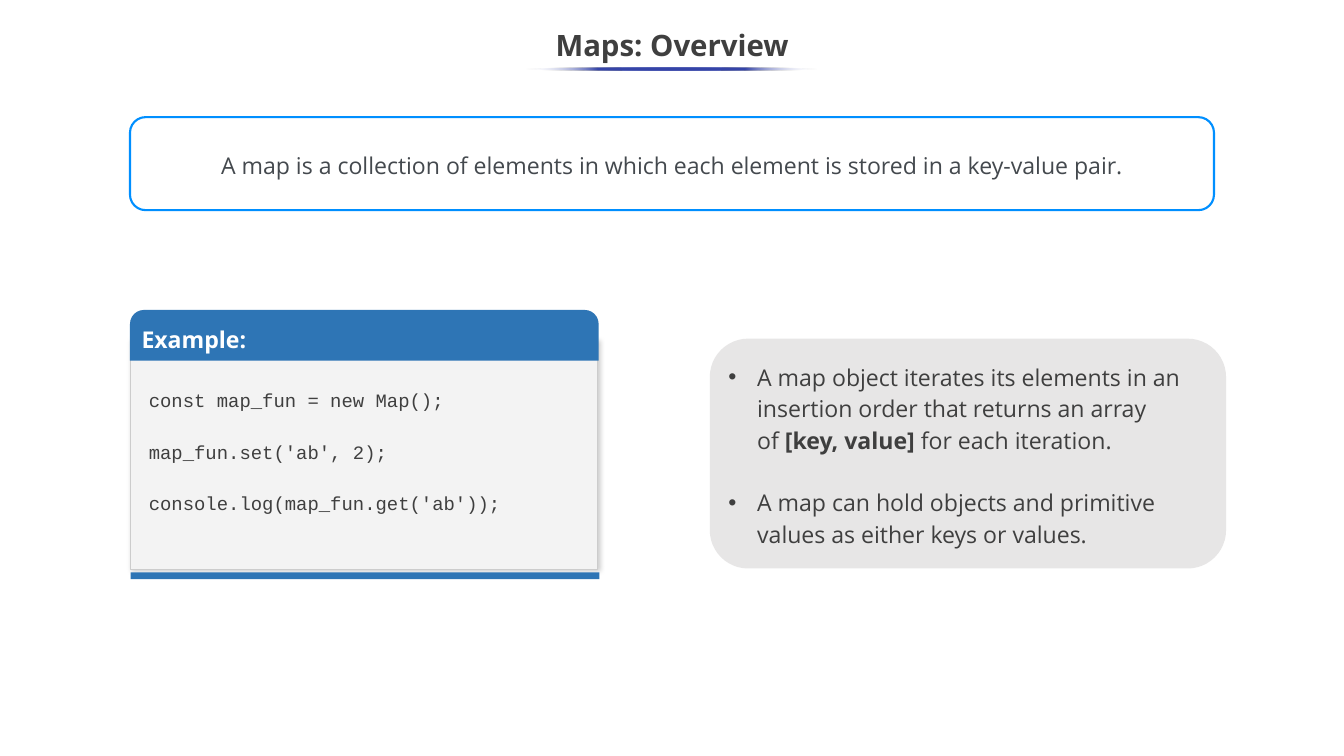
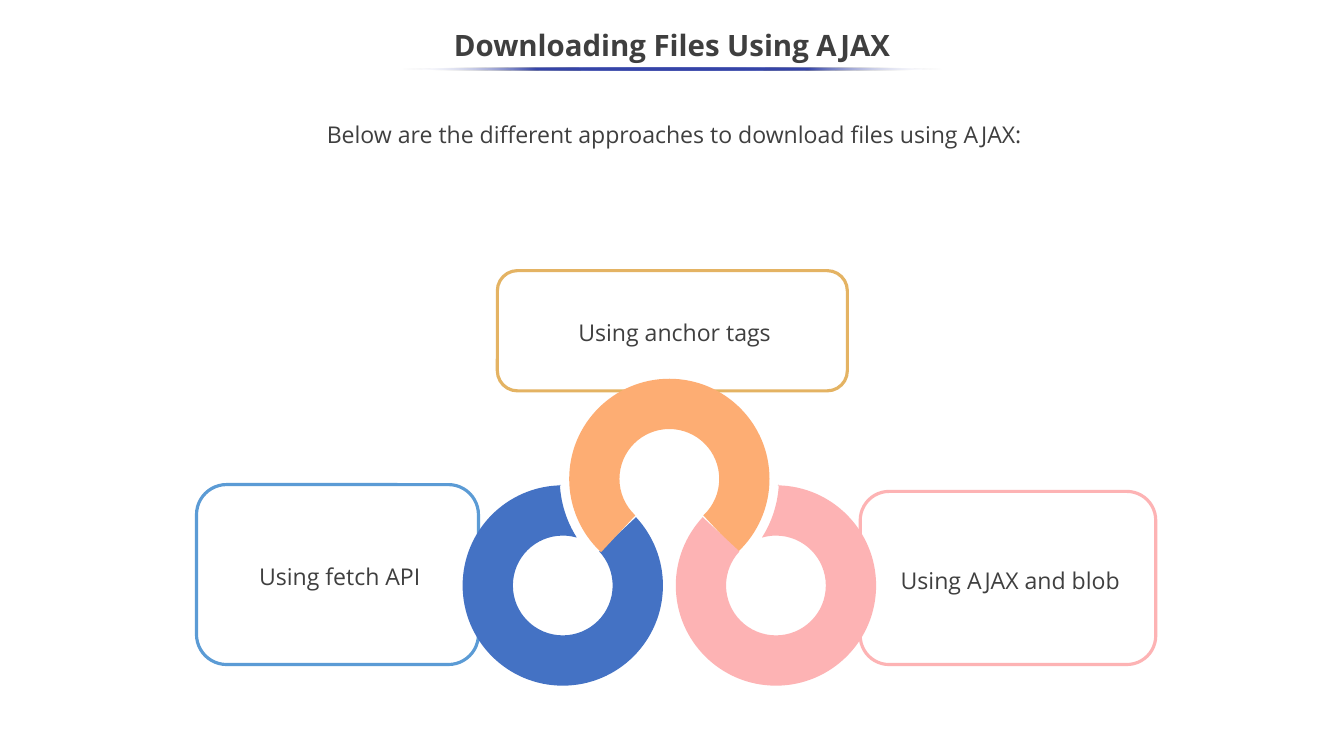
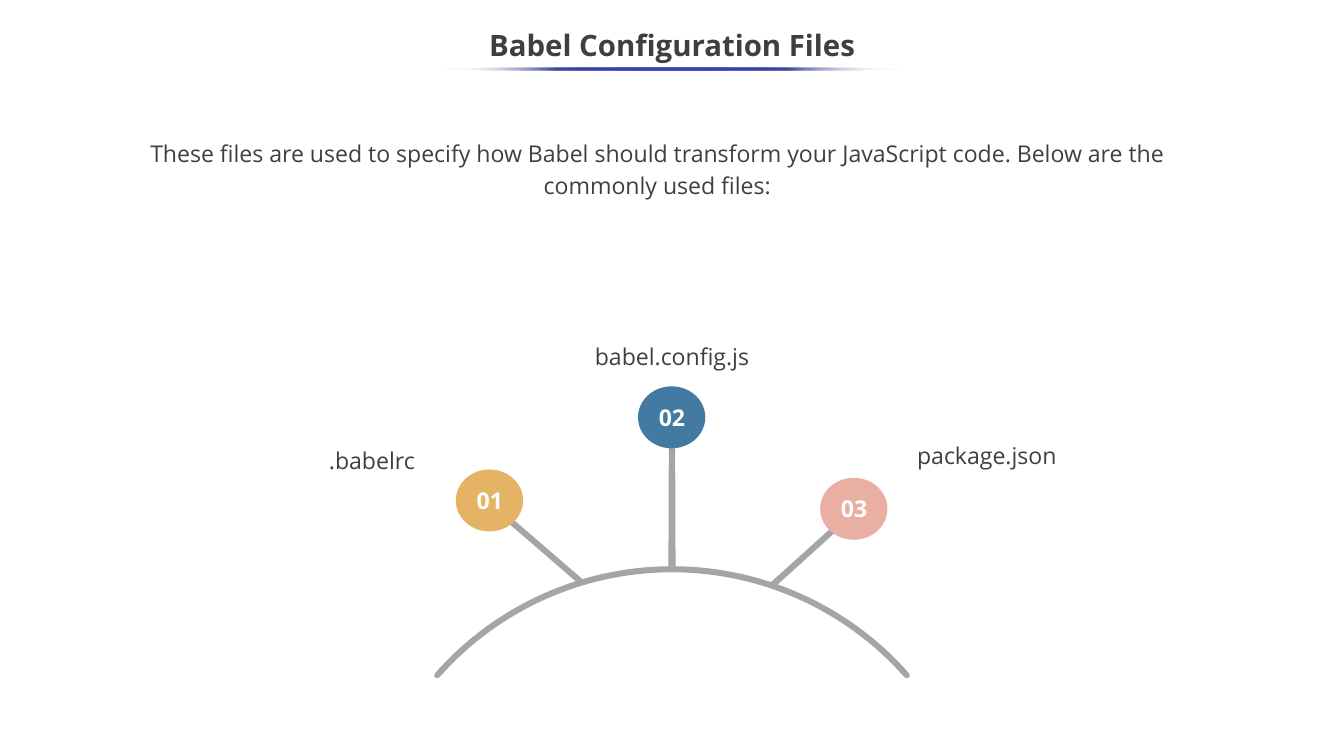
from math import cos, hypot, radians, sin, tan

from lxml import etree
from pptx import Presentation
from pptx.dml.color import RGBColor
from pptx.enum.shapes import MSO_SHAPE
from pptx.enum.text import MSO_ANCHOR, PP_ALIGN
from pptx.oxml import parse_xml
from pptx.oxml.ns import qn
from pptx.util import Pt

PX = 9144  # 100 px to the inch
WIDE, HIGH = 1778, 1000
MID = WIDE // 2

RECT, ROUND = MSO_SHAPE.RECTANGLE, MSO_SHAPE.ROUNDED_RECTANGLE
TAB, OVAL = MSO_SHAPE.ROUND_2_SAME_RECTANGLE, MSO_SHAPE.OVAL
LEFT, CENTER = PP_ALIGN.LEFT, PP_ALIGN.CENTER
TOP, MIDDLE = MSO_ANCHOR.TOP, MSO_ANCHOR.MIDDLE

HUE = {
    "ink": "3F3F3F", "slate": "44494E", "white": "FFFFFF", "rule": "3645A9",
    "frame": "008FFF", "head": "2E75B5", "code": "F3F3F3", "edge": "CCCCCC",
    "note": "E7E6E6", "sky": "5B9BD5", "gold": "E4B363", "pink": "FDB3B4",
    "blue": "4472C4", "peach": "FDAD73", "gray": "A5A5A5", "steel": "427AA1",
    "rose": "E9AFA3",
}
SANS, MONO = "Open Sans", "Courier New"
HARD = chr(160)  # space that does not break
NS = 'xmlns:a="http://schemas.openxmlformats.org/drawingml/2006/main"'


def rgb(name):
    return RGBColor.from_string(HUE[name])


def paint(item, fill=None, line=None, weight=1):
    item.shadow.inherit = False
    if fill:
        item.fill.solid()
        item.fill.fore_color.rgb = rgb(fill)
    else:
        item.fill.background()
    if line:
        item.line.color.rgb = rgb(line)
        item.line.width = Pt(weight)
    else:
        item.line.fill.background()
    return item


def shape(slide, kind, box, adjust=(), **look):
    item = slide.shapes.add_shape(kind, *[v * PX for v in box])
    for i, value in enumerate(adjust):
        item.adjustments[i] = value
    return paint(item, **look)


def polar(hub, radius, angle):
    """Point on a circle; degrees run clockwise from the right."""
    turn = radians(angle)
    return hub[0] + radius * cos(turn), hub[1] + radius * sin(turn)


def arc(hub, radius, start, end):
    """Nodes of an arc: its first point, then one curve for each quadrant."""
    low, high = sorted((start, end))
    cuts = [a for a in range(-720, 721, 90) if low < a < high]
    stops = [low, *cuts, high]
    if start > end:
        stops.reverse()
    nodes = [[polar(hub, radius, start)]]
    for a, b in zip(stops, stops[1:]):
        pull = 4 / 3 * tan(radians(b - a) / 4) * radius
        p, q = polar(hub, radius, a), polar(hub, radius, b)
        nodes.append([polar(p, pull, a + 90), polar(q, pull, b - 90), q])
    return nodes


def outline(slide, nodes, fill):
    """Draw a closed shape; a node is [point] or [handle, handle, point]."""
    first, *rest = [(x * PX, y * PX) for x, y in [n[-1] for n in nodes]]
    pen = slide.shapes.build_freeform(*first)
    pen.add_line_segments(rest, close=True)
    item = paint(pen.convert_to_shape(), fill)
    steps = list(item._element.iter(qn("a:lnTo")))
    for step, node in zip(steps, nodes[1:]):
        if len(node) == 3:
            step.tag = qn("a:cubicBezTo")
            for i, (x, y) in enumerate(node[:2]):
                spot = etree.Element(qn("a:pt"), x=str(round(x * PX - item.left)),
                                     y=str(round(y * PX - item.top)))
                step.insert(i, spot)
    return item


def write(item, paras, size=22, color="ink", font=SANS, bold=False, align=CENTER,
          anchor=MIDDLE, spacing=1.14, gap=0, indent=0, bullet=None, pad=5):
    """Fill a shape; a paragraph is a string or a list of (words, bold) runs."""
    frame = item.text_frame
    frame.word_wrap = True
    frame.vertical_anchor = anchor
    frame.margin_left = frame.margin_right = 10 * PX
    frame.margin_top = frame.margin_bottom = pad * PX
    for i, runs in enumerate(paras):
        para = frame.add_paragraph() if i else frame.paragraphs[0]
        props = para._p.get_or_add_pPr()
        props.set("marL", str(indent * PX))
        props.set("indent", str(-indent * PX if bullet else 0))
        if bullet:
            hue = etree.SubElement(props, qn("a:buClr"))
            etree.SubElement(hue, qn("a:srgbClr"), val=HUE[color])
            etree.SubElement(props, qn("a:buFont"), typeface="Arial")
            etree.SubElement(props, qn("a:buChar"), char=bullet)
        para.alignment = align
        para.line_spacing = spacing
        if i and gap:
            para.space_before = Pt(gap)
        for words, strong in [(runs, bold)] if isinstance(runs, str) else runs:
            run = para.add_run()
            run.text = words
            run.font.name, run.font.size, run.font.bold = font, Pt(size), strong
            run.font.color.rgb = rgb(color)
    return item


def label(slide, box, words, **style):
    paras = [words] if isinstance(words, str) else words
    return write(slide.shapes.add_textbox(*[v * PX for v in box]), paras, **style)


def heading(deck, words, width):
    """Add a slide with its title and the fading rule below it."""
    slide = deck.slides.add_slide(deck.slide_layouts[6])
    label(slide, (0, 25, WIDE, 75), words, size=28, bold=True, spacing=0.9)
    rule = shape(slide, OVAL, (MID - width // 2, 89, width, 4), fill="rule")
    stops = "".join(
        f'<a:gs pos="{pos}000"><a:srgbClr val="{HUE[name]}">'
        f'<a:alpha val="{alpha}000"/></a:srgbClr></a:gs>'
        for pos, name, alpha in [(0, "white", 0), (25, "rule", 100),
                                 (75, "rule", 100), (100, "white", 0)])
    solid = rule._element.spPr.find(qn("a:solidFill"))
    solid.getparent().replace(solid, parse_xml(
        f'<a:gradFill {NS} rotWithShape="1"><a:gsLst>{stops}</a:gsLst>'
        '<a:lin ang="0" scaled="0"/></a:gradFill>'))
    return slide


def sample(slide, box, title, lines):
    """Code panel with a tab on top and a bar below."""
    x, y, w, h = box
    body = shape(slide, RECT, (x + 1, y + 39, w - 2, h - 52),
                 fill="code", line="edge", weight=0.75)
    body._element.spPr.find(qn("a:effectLst")).append(parse_xml(
        f'<a:outerShdw {NS} blurRad="57150" dist="19050" dir="2820000" '
        'algn="tl" rotWithShape="0"><a:srgbClr val="000000">'
        '<a:alpha val="20000"/></a:srgbClr></a:outerShdw>'))
    write(shape(slide, TAB, (x, y, w, 67), (0.275, 0), fill="head"), [title],
          color="white", bold=True, align=LEFT)
    shape(slide, RECT, (x + 1, y + h - 9, w, 9), fill="head")
    label(slide, (x + 15, y + 95, w - 28, h - 104), lines, size=18, font=MONO,
          align=LEFT, anchor=TOP, gap=24.5)


def rings(slide, box):
    """Three linked rings: two below, one above between them."""
    x, y, w, h = box
    big, small, cut, clear = 132.5, 66, 47, 145
    peak = (x + w / 2, y + big)
    low = (x + big, y + h - big)
    side = (arc(low, big, -91, -360 - 90 + cut)
            + arc(low, small, cut - 90, 286)
            + arc(peak, clear, 148, 177))
    outline(slide, side, "blue")
    outline(slide, arc(peak, big, cut, -180 - cut)
            + arc(peak, small, -180 - cut, cut), "peach")
    flip = [[(2 * peak[0] - px, py) for px, py in node] for node in side]
    outline(slide, flip, "pink")


def fan(slide, box, spokes):
    """Arched band with spokes; each spoke is (angle, tip relative to box)."""
    x, y, w, h = box
    outer, inner, half, slit = 418, 410, 4, 0.65
    start, end = 221.4, 318.6
    hub = (x + w / 2, y + 205 + outer)
    nodes, last = [], start
    for angle, (dx, dy) in spokes:
        foot = polar(hub, outer, angle)
        tip = (x + dx, y + dy)
        run, rise = tip[0] - foot[0], tip[1] - foot[1]
        size = hypot(run, rise)
        nx, ny = half * rise / size, -half * run / size
        nodes += arc(hub, outer, last, angle - slit)
        nodes += [[(tip[0] + nx, tip[1] + ny)], [(tip[0] - nx, tip[1] - ny)]]
        last = angle + slit
    nodes += arc(hub, outer, last, end)
    core = (outer + inner) / 2
    nodes += arc(polar(hub, core, end), half, end, end + 180)[1:]
    nodes += arc(hub, inner, end, start)[1:]
    nodes += arc(polar(hub, core, start), half, start + 180, start + 360)[1:]
    outline(slide, nodes, "gray")


def badge(slide, spot, number, fill):
    x, y = spot
    shape(slide, OVAL, (x, y, 89, 82), fill=fill)
    label(slide, (x + 17, y + 17, 56, 47), number, color="white", bold=True,
          spacing=1.0)


def maps(deck):
    slide = heading(deck, "Maps: Overview", 386)
    sample(slide, (172, 410, 620, 356), "Example:", [
        "const map_fun = new Map();",
        "map_fun.set('ab', 2);",
        "console.log(map_fun.get('ab'));",
    ])
    write(shape(slide, ROUND, (939, 448, 683, 304), (0.167,), fill="note"), [
        [(f"A{HARD}map{HARD}object iterates its elements in an insertion order "
          f"that returns an array of{HARD}", False),
         (f"[key, value]{HARD}", True), ("for each iteration.", False)],
        "A map can hold objects and primitive values as either keys or values.",
    ], align=LEFT, gap=29.5, indent=38, bullet="•")
    write(shape(slide, ROUND, (172, 155, 1434, 123), (0.167,), fill="white",
                line="frame", weight=2),
          ["A map is a collection of elements in which each element is stored "
           "in a key-value pair."], color="slate")


def ajax(deck):
    slide = heading(deck, "Downloading Files Using AJAX", 716)
    label(slide, (208, 163, 1362, 119),
          "Below are the different approaches to download files using AJAX:",
          anchor=TOP, spacing=0.9, indent=6, pad=0)
    for box, words, line in [
        ((260, 641, 373, 238), "Using fetch API", "sky"),
        ((658, 358, 463, 159), "Using anchor tags", "gold"),
        ((1138, 650, 391, 229), "Using AJAX and blob", "pink"),
    ]:
        card = shape(slide, ROUND, box, (0.167,), line=line, weight=3)
        write(card, [words], indent=6)
    rings(slide, (612, 501, 547, 406))


def babel(deck):
    slide = heading(deck, "Babel Configuration Files", 606)
    fan(slide, (574, 544, 630, 354),
        [(252.9, (78, 125)), (270, (315, 2)), (288.9, (564, 125))])
    for spot, number, fill, box, words in [
        ((603, 621), "01", "gold", (307, 581, 370, 52), ".babelrc"),
        ((844, 511), "02", "steel", (574, 443, 630, 52), "babel.config.js"),
        ((1085, 632), "03", "rose", (1104, 574, 403, 52), "package.json"),
    ]:
        badge(slide, spot, number, fill)
        label(slide, box, words, anchor=TOP)
    label(slide, (172, 184, 1389, 74),
          "These files are used to specify how Babel should transform your "
          "JavaScript code. Below are the commonly used files:", indent=6)


def main():
    deck = Presentation()
    deck.slide_width, deck.slide_height = WIDE * PX, HIGH * PX
    for build in (maps, ajax, babel):
        build(deck)
    deck.save("out.pptx")


if __name__ == "__main__":
    main()
